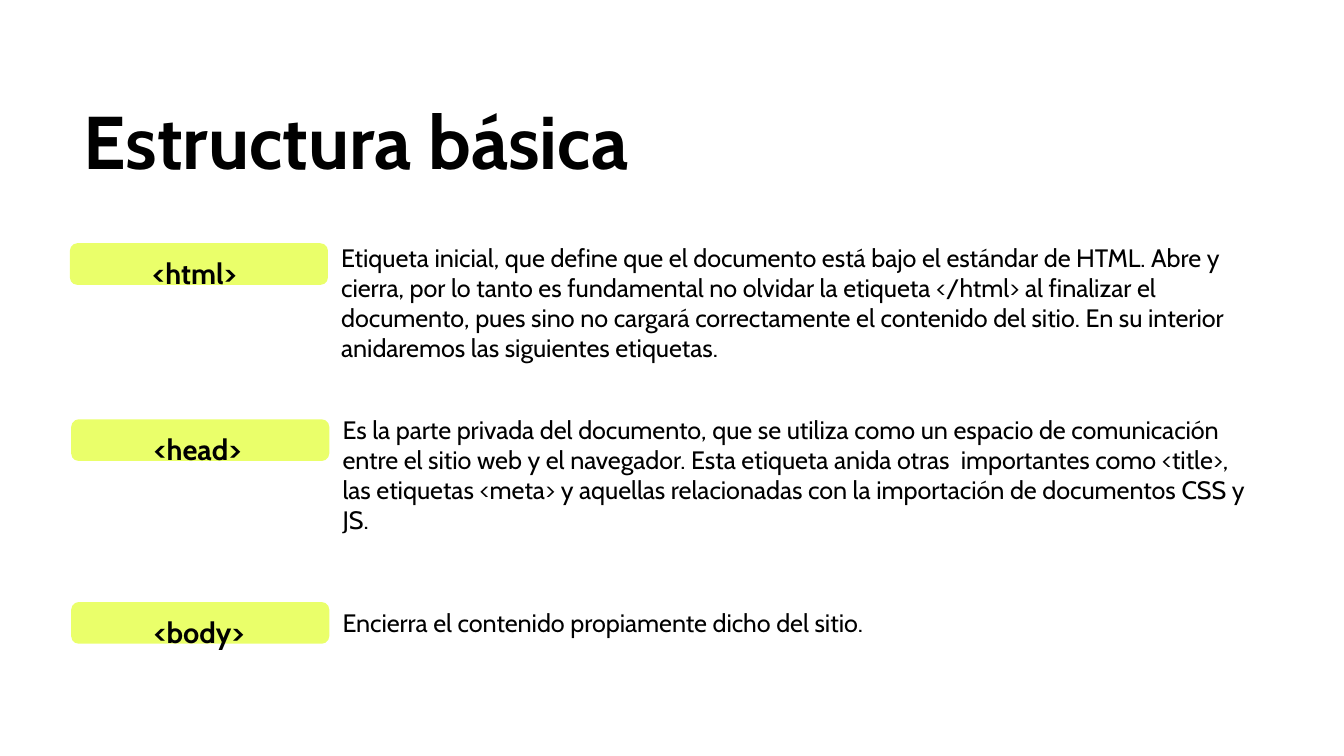
from dataclasses import dataclass

from pptx import Presentation
from pptx import util as u
from pptx.dml.color import RGBColor
from pptx.enum import shapes, text


@dataclass(frozen=True)
class Theme:
    """Colours, font and type sizes of the slide."""
    font: str = "Cabin"
    ink: RGBColor = RGBColor(0x00, 0x00, 0x00)
    paper: RGBColor = RGBColor(0xFF, 0xFF, 0xFF)
    accent: RGBColor = RGBColor(0xEA, 0xFF, 0x6A)
    title_size: float = 40
    label_size: float = 15.5
    body_size: float = 13.5


@dataclass(frozen=True)
class Entry:
    """One tag with its explanation, placed in grid units."""
    tag: str
    body: str
    left: float
    label_top: float
    body_top: float
    body_width: float
    body_height: float


THEME = Theme()
CELL = u.Inches(0.1)
COLUMNS, ROWS = 100, 56.25
LABEL_WIDTH, LABEL_HEIGHT = 19.2, 3.1
LABEL_INDENT = 5

ENTRIES = [
    Entry("<html>",
          "Etiqueta inicial, que define que el documento está bajo el estándar de HTML. "
          "Abre y cierra, por lo tanto es fundamental no olvidar la etiqueta </html> al "
          "finalizar el documento, pues sino no cargará correctamente el contenido del "
          "sitio. En su interior anidaremos las siguientes etiquetas.",
          5.2, 18.1, 17, 70.2, 11.1),
    Entry("<head>",
          "Es la parte privada del documento, que se utiliza como un espacio de "
          "comunicación entre el sitio web y el navegador. Esta etiqueta anida otras  "
          "importantes como <title>, las etiquetas <meta> y aquellas relacionadas con la "
          "importación de documentos CSS y JS.",
          5.3, 31.2, 29.8, 70.2, 11.1),
    Entry("<body>", "Encierra el contenido propiamente dicho del sitio.",
          5.3, 44.8, 44.2, 54.5, 4.3),
]


def grid(*units):
    """Turn grid units into slide lengths."""
    return [round(unit * CELL) for unit in units]


def write(box, words, size, bold=False, anchor=text.MSO_ANCHOR.TOP, grow=True):
    """Write one left-aligned paragraph in a box and return it."""
    frame = box.text_frame
    frame.word_wrap = True
    frame.auto_size = (text.MSO_AUTO_SIZE.SHAPE_TO_FIT_TEXT if grow
                       else text.MSO_AUTO_SIZE.NONE)
    frame.vertical_anchor = anchor
    frame.margin_left = frame.margin_right = CELL
    frame.margin_top = frame.margin_bottom = CELL
    para = frame.paragraphs[0]
    para.alignment = text.PP_ALIGN.LEFT
    span = para.add_run()
    span.text = words
    span.font.name = THEME.font
    span.font.size = u.Pt(size)
    span.font.bold = bold
    span.font.color.rgb = THEME.ink
    return para


def add_title(page, words):
    """Place and fill the title placeholder."""
    box = page.shapes.title
    box.left, box.top, box.width, box.height = grid(5.2, 6.8, 89, 8.1)
    para = write(box, words, THEME.title_size, bold=True)
    para.line_spacing = 0.9
    para.space_before = u.Pt(0)


def add_label(page, entry):
    """Add the rounded label that names a tag."""
    box = page.shapes.add_shape(
        shapes.MSO_SHAPE.ROUNDED_RECTANGLE,
        *grid(entry.left, entry.label_top, LABEL_WIDTH, LABEL_HEIGHT))
    box.adjustments[0] = 0.18
    box.shadow.inherit = False
    box.fill.solid()
    box.fill.fore_color.rgb = THEME.accent
    box.line.fill.background()
    para = write(box, entry.tag, THEME.label_size, bold=True,
                 anchor=text.MSO_ANCHOR.MIDDLE, grow=False)
    para.line_spacing = 1.5
    properties = para._p.get_or_add_pPr()
    properties.set("marL", "0")
    properties.set("indent", str(LABEL_INDENT * CELL))


def add_body(page, entry):
    """Add the explanation at the right of its label."""
    box = page.shapes.add_textbox(*grid(
        entry.left + LABEL_WIDTH, entry.body_top, entry.body_width, entry.body_height))
    write(box, entry.body, THEME.body_size)


def main():
    """Build and save the slide."""
    deck = Presentation()
    deck.slide_width, deck.slide_height = grid(COLUMNS, ROWS)
    page = deck.slides.add_slide(deck.slide_layouts[5])
    page.background.fill.solid()
    page.background.fill.fore_color.rgb = THEME.paper
    add_title(page, "Estructura básica")
    for entry in ENTRIES:
        add_body(page, entry)
        add_label(page, entry)
    deck.save("out.pptx")


if __name__ == "__main__":
    main()
